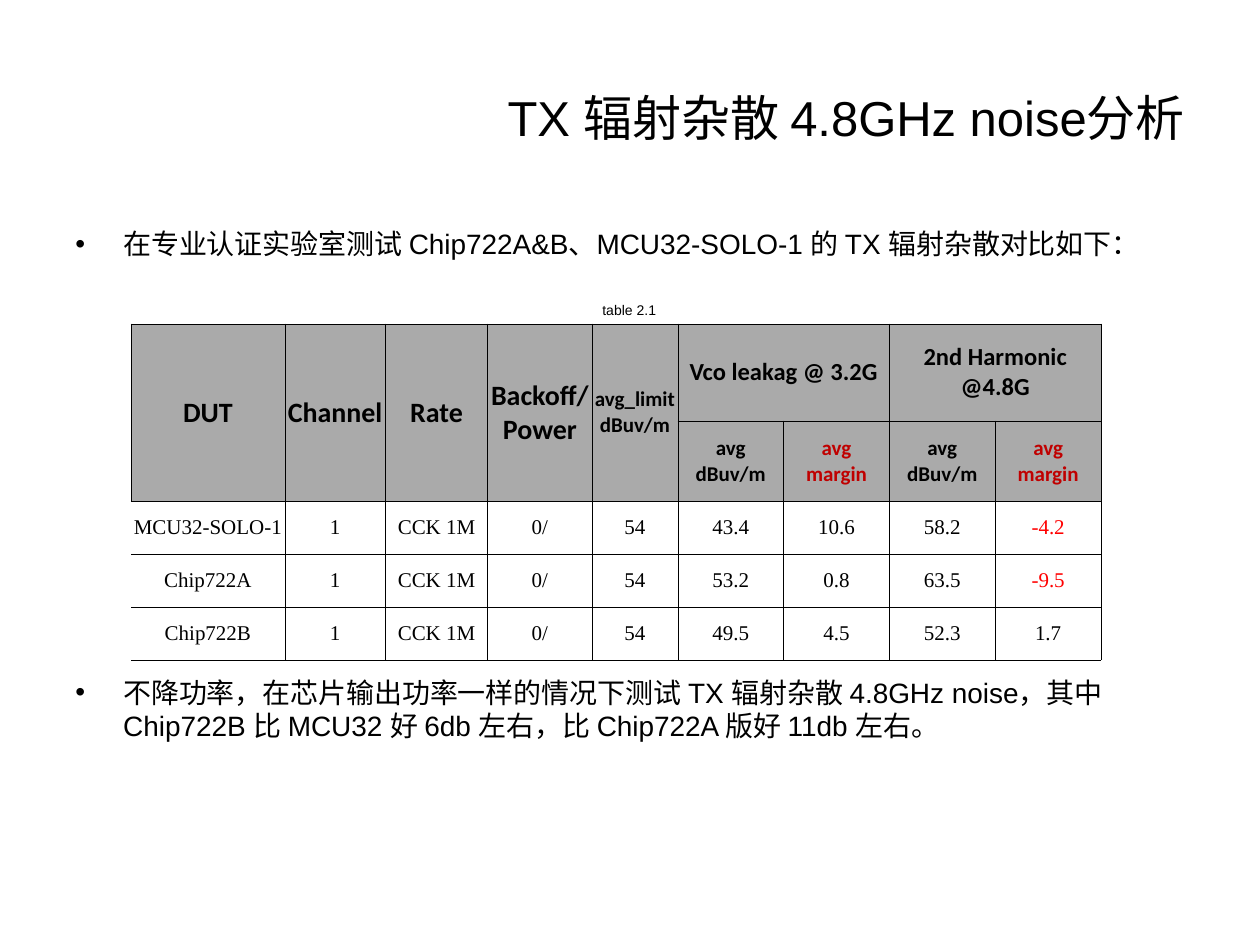
from dataclasses import dataclass

from lxml.etree import SubElement
from pptx import Presentation
from pptx.dml.color import RGBColor
from pptx.enum.text import MSO_ANCHOR, PP_ALIGN
from pptx.oxml.ns import qn
from pptx.util import Inches, Pt


@dataclass(frozen=True)
class Theme:
    ink: str = "000000"
    header: str = "AAAAAA"
    accent: str = "C00000"
    negative: str = "FF0000"
    body_font: str = "Arial"
    header_font: str = "Calibri"
    data_font: str = "Times New Roman"
    title: int = 28
    body: int = 16
    group: int = 14
    cell: int = 12
    caption: int = 8
    border: float = 0.23


THEME = Theme()

COLUMN_WIDTHS = [1.22, 0.8, 0.81, 0.83, 0.68] + [0.84] * 4
ROW_HEIGHTS = [0.77, 0.64] + [0.42] * 3
TALL_HEADERS = [
    ("DUT", THEME.body),
    ("Channel", THEME.body),
    ("Rate", THEME.body),
    ("Backoff/Power", THEME.body),
    ("avg_limit\ndBuv/m", THEME.cell),
]
GROUPS = ["Vco leakag @ 3.2G", "2nd Harmonic @4.8G"]
MEASURES = [("avg\ndBuv/m", THEME.ink), ("avg\nmargin", THEME.accent)]
RESULTS = [
    ("MCU32-SOLO-1", "43.4", "10.6", "58.2", "-4.2"),
    ("Chip722A", "53.2", "0.8", "63.5", "-9.5"),
    ("Chip722B", "49.5", "4.5", "52.3", "1.7"),
]
SETTINGS = ("1", "CCK 1M", "0/", "54")
BULLETS = [
    ("在专业认证实验室测试 Chip722A&B、MCU32-SOLO-1 的 TX 辐射杂散对比如下：", 0),
    ("不降功率，在芯片输出功率一样的情况下测试 TX 辐射杂散 4.8GHz noise，其中"
     "Chip722B 比 MCU32 好 6db 左右，比 Chip722A 版好 11db 左右。", 237),
]


def add_run(p, text, size, font=THEME.body_font, color=THEME.ink, bold=False):
    r = p.add_run()
    r.text = text
    r.font.size = Pt(size)
    r.font.name = font
    r.font.bold = bold
    r.font.color.rgb = RGBColor.from_string(color)


def add_text_frame(slide, box, anchor=MSO_ANCHOR.TOP):
    tf = slide.shapes.add_textbox(*map(Inches, box)).text_frame
    tf.word_wrap = True
    tf.vertical_anchor = anchor
    return tf


def add_line(slide, box, text, size, align, anchor=MSO_ANCHOR.TOP):
    p = add_text_frame(slide, box, anchor).paragraphs[0]
    p.alignment = align
    add_run(p, text, size)


def add_bullets(slide, box):
    tf = add_text_frame(slide, box)
    for i, (text, gap) in enumerate(BULLETS):
        p = tf.add_paragraph() if i else tf.paragraphs[0]
        pPr = p._p.get_or_add_pPr()
        pPr.set("marL", str(Inches(0.38)))
        pPr.set("indent", str(-Inches(0.38)))
        SubElement(pPr, qn("a:buFont"), typeface=THEME.body_font)
        SubElement(pPr, qn("a:buChar"), char="•")
        if gap:
            p.space_before = Pt(gap)
        add_run(p, text, THEME.body)


def set_borders(cell, open_left):
    tcPr = cell._tc.get_or_add_tcPr()
    for side in ("lnL", "lnR", "lnT", "lnB"):
        ln = SubElement(tcPr, qn(f"a:{side}"), w=str(Pt(THEME.border)))
        if side == "lnL" and open_left:
            SubElement(ln, qn("a:noFill"))
        else:
            fill = SubElement(ln, qn("a:solidFill"))
            SubElement(fill, qn("a:srgbClr"), val=THEME.ink)


def style_cell(cell, is_header, open_left):
    set_borders(cell, open_left)
    if is_header:
        cell.fill.solid()
        cell.fill.fore_color.rgb = RGBColor.from_string(THEME.header)
    else:
        cell.fill.background()
    cell.vertical_anchor = MSO_ANCHOR.MIDDLE
    cell.margin_left = cell.margin_right = Inches(0.01)


def fill_cell(cell, text, size, font, color=THEME.ink, bold=False):
    tf = cell.text_frame
    for i, line in enumerate(text.split("\n")):
        p = tf.add_paragraph() if i else tf.paragraphs[0]
        p.alignment = PP_ALIGN.CENTER
        add_run(p, line, size, font, color, bold)


def fill_header(table):
    for col, (text, size) in enumerate(TALL_HEADERS):
        table.cell(0, col).merge(table.cell(1, col))
        fill_cell(table.cell(0, col), text, size, THEME.header_font, bold=True)
    for g, group in enumerate(GROUPS):
        left = len(TALL_HEADERS) + g * len(MEASURES)
        table.cell(0, left).merge(table.cell(0, left + 1))
        fill_cell(table.cell(0, left), group, THEME.group, THEME.header_font, bold=True)
        for m, (text, color) in enumerate(MEASURES):
            fill_cell(table.cell(1, left + m), text, THEME.cell, THEME.header_font, color, True)


def add_results_table(slide, box):
    shape = slide.shapes.add_table(len(ROW_HEIGHTS), len(COLUMN_WIDTHS), *map(Inches, box))
    table = shape.table
    table.first_row = table.horz_banding = False
    for column, width in zip(table.columns, COLUMN_WIDTHS):
        column.width = Inches(width)
    for i, (row, height) in enumerate(zip(table.rows, ROW_HEIGHTS)):
        row.height = Inches(height)
        for j, cell in enumerate(row.cells):
            style_cell(cell, i < 2, i >= 2 and j == 0)
    fill_header(table)
    for i, (name, *values) in enumerate(RESULTS, start=2):
        for j, text in enumerate((name, *SETTINGS, *values)):
            color = THEME.negative if text.startswith("-") else THEME.ink
            fill_cell(table.cell(i, j), text, THEME.cell, THEME.data_font, color)


def build_slide(prs):
    s = prs.slides.add_slide(prs.slide_layouts[6])
    add_line(s, (0.5, 0.3, 9, 1.25), "TX 辐射杂散 4.8GHz noise分析",
             THEME.title, PP_ALIGN.RIGHT, MSO_ANCHOR.MIDDLE)
    add_bullets(s, (0.5, 1.75, 9, 4.95))
    add_results_table(s, (1.04, 2.57, sum(COLUMN_WIDTHS), sum(ROW_HEIGHTS)))
    add_line(s, (4.46, 2.34, 1.07, 0.24), "table 2.1", THEME.caption, PP_ALIGN.CENTER)


def main():
    prs = Presentation()
    prs.slide_width, prs.slide_height = Inches(10), Inches(7.5)
    build_slide(prs)
    prs.save("out.pptx")


if __name__ == "__main__":
    main()
